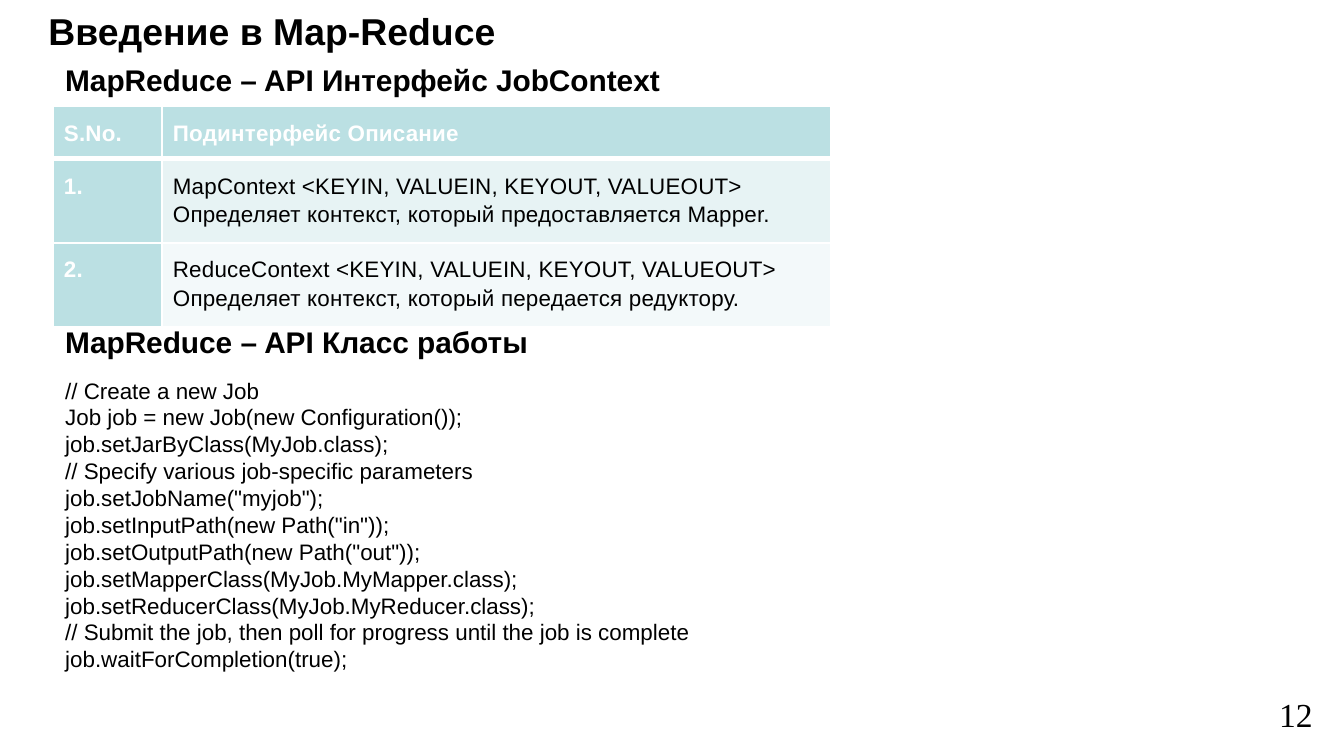
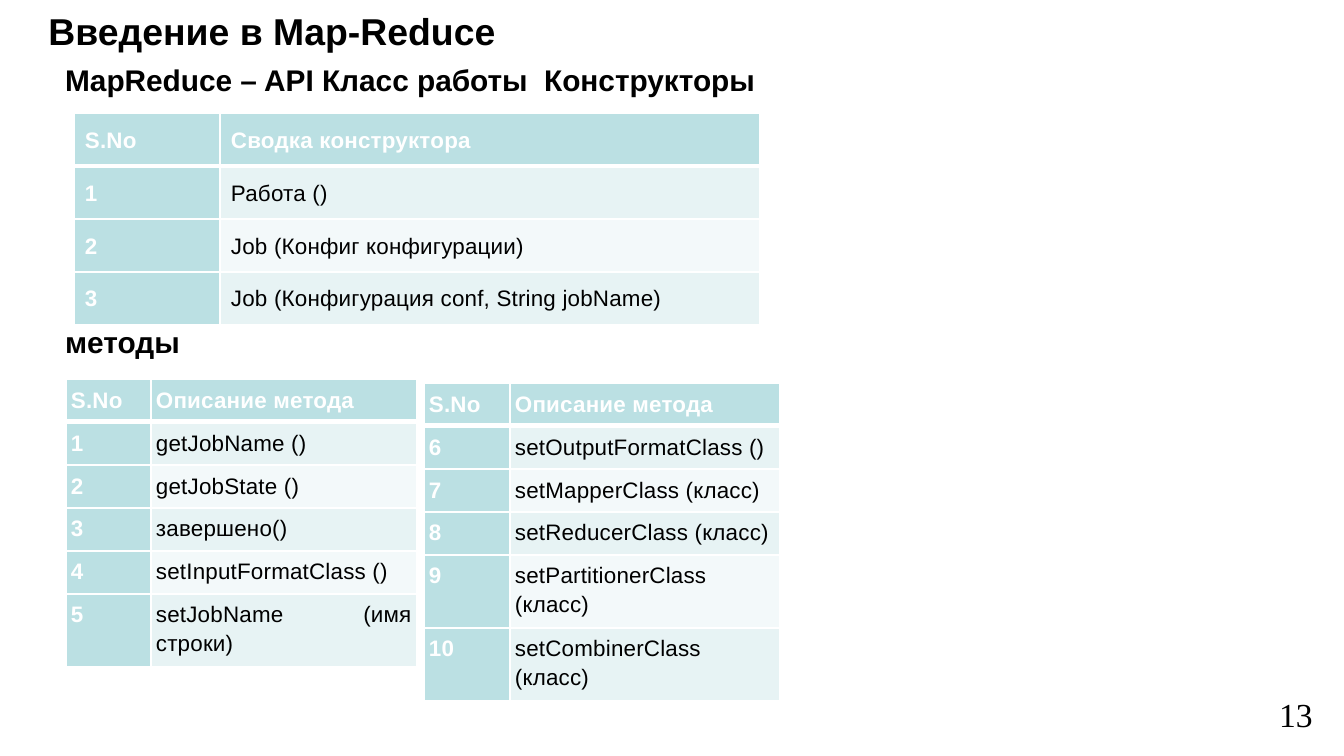
from lxml.etree import SubElement as Sub
from pptx import Presentation
from pptx.dml.color import RGBColor
from pptx.enum.text import MSO_ANCHOR as Anchor, MSO_AUTO_SIZE as Auto, PP_ALIGN as Align
from pptx.oxml.ns import qn
from pptx.util import Pt

SCALE = 914400 / 134.4
BLACK, WHITE = "000000", "FFFFFF"
TEAL, PALE, FAINT = "BBE0E3", "E7F3F4", "F3F9FA"
TITLE = "Введение в Map-Reduce"

CODE = """// Create a new Job
Job job = new Job(new Configuration());
job.setJarByClass(MyJob.class);
// Specify various job-specific parameters
job.setJobName("myjob");
job.setInputPath(new Path("in"));
job.setOutputPath(new Path("out"));
job.setMapperClass(MyJob.MyMapper.class);
job.setReducerClass(MyJob.MyReducer.class);
// Submit the job, then poll for progress until the job is complete
job.waitForCompletion(true);"""

CONTEXTS = [
    ("S.No.", "Подинтерфейс Описание"),
    ("1.", "MapContext <KEYIN, VALUEIN, KEYOUT, VALUEOUT>\n"
           "Определяет контекст, который предоставляется Mapper."),
    ("2.", "ReduceContext <KEYIN, VALUEIN, KEYOUT, VALUEOUT>\n"
           "Определяет контекст, который передается редуктору."),
]
BUILDERS = [
    ("S.No", "Сводка конструктора"),
    ("1", "Работа ()"),
    ("2", "Job (Конфиг конфигурации)"),
    ("3", "Job (Конфигурация conf, String jobName)"),
]
METHODS = ["getJobName ()", "getJobState ()", "завершено()",
           "setInputFormatClass ()", "setJobName (имя строки)",
           "setOutputFormatClass ()", "setMapperClass (класс)",
           "setReducerClass (класс)", "setPartitionerClass (класс)",
           "setCombinerClass (класс)"]


def px(n):
    return round(n * SCALE)


def tint(code):
    return RGBColor.from_string(code)


def write(frame, text, size, bold=False, face="Arial", color=BLACK,
          align=Align.LEFT, lead=None, track=None):
    for i, line in enumerate(text.split("\n")):
        para = frame.add_paragraph() if i else frame.paragraphs[0]
        para.alignment = align
        if lead:
            para.line_spacing = lead
        run = para.add_run()
        run.text = line
        font = run.font
        font.size, font.bold, font.name = Pt(size), bold, face
        font.color.rgb = tint(color)
        if track:
            font._element.set("spc", str(track))


def place(shape, box):
    shape.left, shape.top, shape.width, shape.height = map(px, box)


def label(slide, box, text, size, wrap=True, **style):
    frame = slide.shapes.add_textbox(*map(px, box)).text_frame
    frame.word_wrap = wrap
    frame.auto_size = Auto.SHAPE_TO_FIT_TEXT
    write(frame, text, size, **style)


def heading(slide, top, wide, text, high=50):
    label(slide, (52, top, wide, high), text, 16, wrap=False, bold=True)


def number(slide, page):
    frame = slide.shapes.add_textbox(*map(px, (1246, 685, 80, 58))).text_frame
    frame.word_wrap = True
    frame.auto_size = Auto.NONE
    frame.vertical_anchor = Anchor.MIDDLE
    frame.margin_top = frame.margin_bottom = px(13)
    write(frame, str(page), 18, face="Times New Roman", align=Align.RIGHT)


def start(deck, page):
    slide = deck.slides.add_slide(deck.slide_layouts[5])
    title = slide.shapes.title
    place(title, (35, 1, 853, 59))
    frame = title.text_frame
    frame.word_wrap = True
    frame.auto_size = Auto.SHAPE_TO_FIT_TEXT
    frame.vertical_anchor = Anchor.TOP
    write(frame, TITLE, 20, bold=True)
    number(slide, page)
    return slide


def edge(cell, row):
    props = cell._tc.get_or_add_tcPr()
    thick = {"T": row == 1, "B": row == 0}
    for side in "LRTB":
        width = Pt(3 if thick.get(side) else 1)
        line = Sub(props, qn("a:ln" + side), w=str(width))
        Sub(Sub(line, qn("a:solidFill")), qn("a:srgbClr"), val=WHITE)


def grid(slide, left, top, cols, highs, rows, pad):
    box = map(px, (left, top, sum(cols), sum(highs)))
    table = slide.shapes.add_table(len(rows), len(cols), *box).table
    for col, wide in zip(table.columns, cols):
        col.width = px(wide)
    for r, (row, high) in enumerate(zip(rows, highs)):
        table.rows[r].height = px(high)
        for c, text in enumerate(row):
            cell = table.cell(r, c)
            head = r == 0 or c == 0
            cell.margin_left = cell.margin_right = px(pad)
            cell.margin_top = cell.margin_bottom = px(pad)
            edge(cell, r)
            cell.fill.solid()
            fill = TEAL if head else PALE if r % 2 else FAINT
            cell.fill.fore_color.rgb = tint(fill)
            write(cell.text_frame, text, 12, bold=head,
                  color=WHITE if head else BLACK,
                  align=Align.JUSTIFY, lead=1.15, track=10)


def methods(slide, left, top, cols, highs, first):
    names = METHODS[first - 1:first + 4]
    rows = [("S.No", "Описание метода")]
    rows += [(str(n), name) for n, name in enumerate(names, first)]
    grid(slide, left, top, cols, highs, rows, 5)


def context(deck):
    slide = start(deck, 12)
    heading(slide, 55, 630, "MapReduce – API Интерфейс JobContext")
    grid(slide, 53, 106, (109, 669), (53, 84, 84), CONTEXTS, 11)
    heading(slide, 317, 497, "MapReduce – API Класс работы")
    label(slide, (52, 370, 672, 317), CODE, 12)


def job(deck):
    slide = start(deck, 13)
    heading(slide, 55, 728, "MapReduce – API Класс работы  Конструкторы", 86)
    heading(slide, 317, 144, "методы")
    grid(slide, 74, 113, (146, 540), [53] * 4, BUILDERS, 11)
    methods(slide, 66, 379, (85, 266), [43] * 5 + [73], 1)
    methods(slide, 424, 383, (86, 270), [43] * 4 + [73] * 2, 6)


def main():
    deck = Presentation()
    deck.slide_width, deck.slide_height = px(1344), px(756)
    context(deck)
    job(deck)
    deck.save("out.pptx")


if __name__ == "__main__":
    main()
